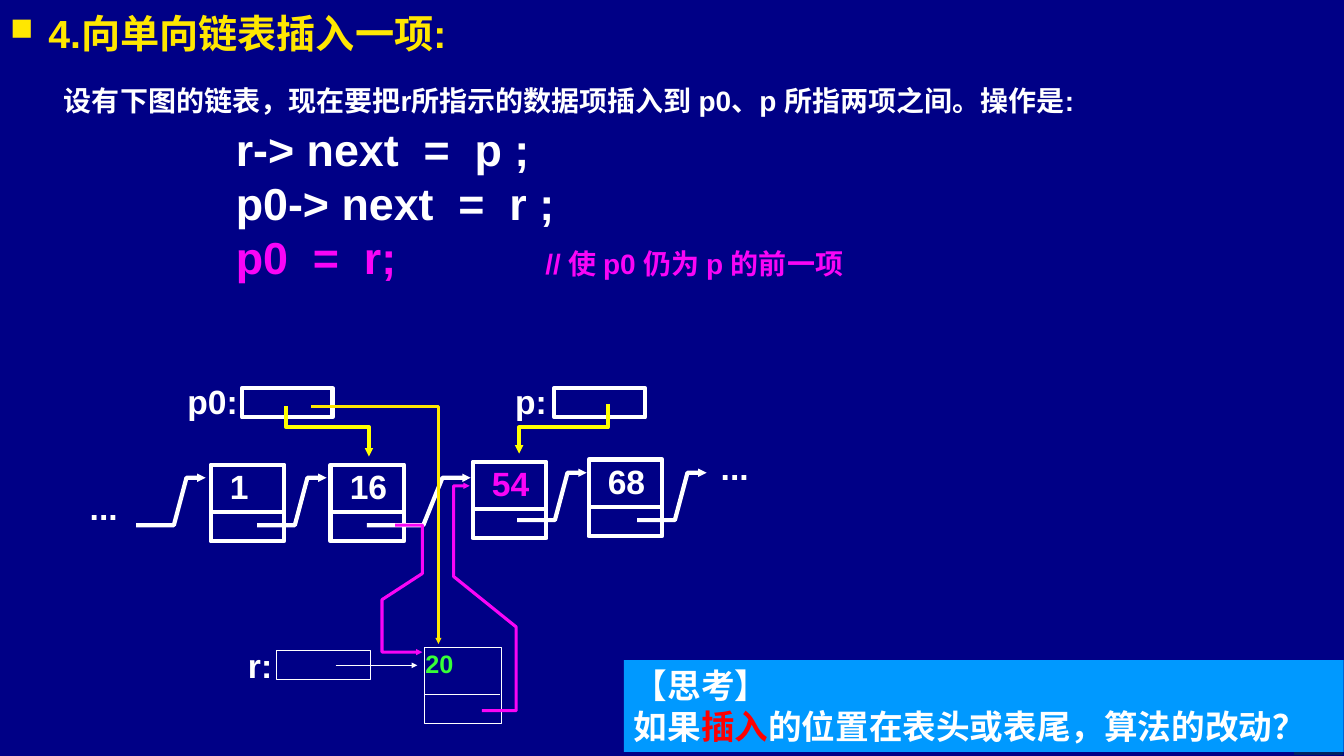
from lxml.etree import SubElement
from pptx import Presentation
from pptx.dml.color import RGBColor
from pptx.enum.shapes import MSO_CONNECTOR, MSO_SHAPE
from pptx.enum.text import MSO_ANCHOR, PP_ALIGN
from pptx.oxml.ns import qn
from pptx.util import Inches, Pt

NAVY = RGBColor(0x00, 0x00, 0x86)
BUTTON = RGBColor(0x00, 0x20, 0x60)
SKY = RGBColor(0x00, 0x99, 0xFF)
WHITE = RGBColor(0xFF, 0xFF, 0xFF)
GOLD = RGBColor(0xFF, 0xE7, 0x01)
YELLOW = RGBColor(0xFF, 0xFF, 0x00)
MAGENTA = RGBColor(0xF9, 0x05, 0xF6)
GREEN = RGBColor(0x37, 0xFF, 0x37)
RED = RGBColor(0xFF, 0x00, 0x00)

COLUMNS, ROWS = 133.33, 75
CELL = Inches(0.1)


def cells(*lengths):
    return [round(length * CELL) for length in lengths]


class ListSlide:
    font = "Arial"

    def __init__(self, deck):
        self.slide = deck.slides.add_slide(deck.slide_layouts[5])
        self.shapes = self.slide.shapes
        self.slide.background.fill.solid()
        self.slide.background.fill.fore_color.rgb = NAVY

    def fill_text(self, shape, lines, size, insets=(1, 0.5), pitch=None, tab=None):
        frame = shape.text_frame
        frame.word_wrap = True
        frame.vertical_anchor = MSO_ANCHOR.TOP
        frame.margin_left, frame.margin_top = cells(*insets)
        frame.margin_right = frame.margin_bottom = cells(0.1)[0]
        for index, runs in enumerate(lines):
            paragraph = frame.add_paragraph() if index else frame.paragraphs[0]
            paragraph.alignment = PP_ALIGN.LEFT
            if pitch:
                paragraph.line_spacing = Pt(pitch)
            if tab:
                tabs = SubElement(paragraph._p.get_or_add_pPr(), qn("a:tabLst"))
                SubElement(tabs, qn("a:tab"), pos=str(cells(tab)[0]), algn="l")
            for words, color, *own_size in runs:
                run = paragraph.add_run()
                run.text = words
                run.font.name = self.font
                run.font.size = Pt(own_size[0] if own_size else size)
                run.font.bold = True
                run.font.color.rgb = color

    def title(self, place, words, size):
        heading = self.shapes.title
        heading.left, heading.top, heading.width, heading.height = cells(*place)
        properties = heading.text_frame.paragraphs[0]._p.get_or_add_pPr()
        properties.set("marL", str(cells(3.8)[0]))
        properties.set("indent", str(cells(-3.8)[0]))
        bullet_color = SubElement(properties, qn("a:buClr"))
        SubElement(bullet_color, qn("a:srgbClr"), val=str(GOLD))
        SubElement(properties, qn("a:buSzPct"), val="80000")
        SubElement(properties, qn("a:buChar"), char="■")
        self.fill_text(heading, [[(words, GOLD)]], size)

    def text(self, place, lines, size, **layout):
        label = self.shapes.add_textbox(*cells(*place))
        self.fill_text(label, lines, size, insets=(0.1, 0.1), **layout)

    def box(self, place, line=WHITE, weight=3, fill=None, kind=MSO_SHAPE.RECTANGLE):
        box = self.shapes.add_shape(kind, *cells(*place))
        box.shadow.inherit = False
        if fill is None:
            box.fill.background()
        else:
            box.fill.solid()
            box.fill.fore_color.rgb = fill
        if line is None:
            box.line.fill.background()
        else:
            self.stroke(box, line, weight)
        return box

    def stroke(self, shape, color, weight, arrow=False):
        shape.line.color.rgb = color
        shape.line.width = Pt(weight)
        if arrow:
            outline = shape._element.spPr.find(qn("a:ln"))
            SubElement(outline, qn("a:tailEnd"), type="triangle", w="sm", len="sm")

    def line(self, start, end, weight, arrow=False):
        line = self.shapes.add_connector(MSO_CONNECTOR.STRAIGHT, *cells(*start, *end))
        self.stroke(line, WHITE, weight, arrow)
        SubElement(line._element.spPr, qn("a:effectLst"))

    def route(self, points, color, weight):
        start, *rest = [cells(*point) for point in points]
        builder = self.shapes.build_freeform(*start)
        builder.add_line_segments(rest, close=False)
        route = builder.convert_to_shape()
        route.shadow.inherit = False
        route.fill.background()
        self.stroke(route, color, weight, arrow=True)

    def node(self, left, top, value, color=WHITE, width=7.3, weight=3, size=24, indent=1.9):
        node = self.box((left, top, width, 7.6), weight=weight)
        self.fill_text(node, [[(value, color)]], size, insets=(indent, 0.1))
        self.line((left, top + 4.7), (left + width - 0.2, top + 4.7), weight)

    def link(self, x, y, bend=3.75, rise=5, reach=6.9):
        top = y - 4.7
        self.route([(x, y), (x + bend, y), (x + rise, top), (x + reach, top)], WHITE, 3)


def main():
    deck = Presentation()
    deck.slide_width, deck.slide_height = cells(COLUMNS, ROWS)
    page = ListSlide(deck)

    page.box((128.3, 70, 5, 5), NAVY, 0.75, BUTTON, MSO_SHAPE.ACTION_BUTTON_BEGINNING)
    page.title((0, 0.4, 125.2, 6), "4.向单向链表插入一项:", 28)
    page.text((6.25, 8.2, 118, 4.5), [[
        ("设有下图的链表，现在要把r所指示的数据项插入到 p0、p 所指两项之间。操作是:", WHITE)]], 20)
    page.text((23.3, 12, 100, 16.5), [
        [("r-> next  =  p ;", WHITE)],
        [("p0-> next  =  r ;", WHITE)],
        [("p0  =  r;\t", MAGENTA), ("// 使 p0 仍为 p 的前一项", MAGENTA, 20)],
    ], 32, pitch=38.5, tab=30.7)

    page.box((27.4, 64.5, 9.4, 2.9), weight=0.75)
    page.node(42.1, 64.2, "20", GREEN, width=7.7, weight=0.75, size=18, indent=0.1)
    page.line((33.3, 66), (41.4, 66), 0.75, arrow=True)
    for pointer_left in (24, 55):
        page.box((pointer_left, 38.5, 9, 2.9))

    for left, top, words in [(24.5, 63.9, "r:"), (18.5, 37.7, "p0:"), (51, 37.7, "p:"),
                             (8.8, 48.2, "..."), (71.4, 44.2, "...")]:
        page.text((left, top, 6.1, 4.2), [[(words, WHITE)]], 24)

    for left, top, value, color in [(20.9, 46.1, "1", WHITE), (32.8, 46.1, "16", WHITE),
                                    (46.9, 45.8, "54", MAGENTA), (58.4, 45.6, "68", WHITE)]:
        page.node(left, top, value, color)

    page.route([(60.3, 40.1), (60.3, 42.4), (51.5, 42.4), (51.5, 45)], YELLOW, 3)
    page.route([(28.4, 40.3), (28.4, 42.4), (36.6, 42.4), (36.6, 45.3)], YELLOW, 3)
    for x, y in [(13.5, 52.1), (25.5, 52.1), (51.3, 51.6), (63.2, 51.6)]:
        page.link(x, y)
    page.link(36.4, 52.1, bend=5.6, rise=7.5, reach=10.3)

    page.route([(39.2, 52.1), (41.9, 52.1), (41.9, 56.9), (37.9, 59.5),
                (37.9, 64.7), (41.9, 64.7)], MAGENTA, 2.25)
    page.route([(47.8, 70.5), (51.2, 70.5), (51.2, 62.2), (45, 57.2),
                (45, 48.2), (46.6, 48.2)], MAGENTA, 2.25)
    page.route([(30.9, 40.3), (43.5, 40.3), (43.5, 63.9)], GOLD, 2.25)

    question = page.box((61.9, 65.5, 71.4, 9.1), line=None, fill=SKY)
    page.fill_text(question, [
        [("【思考】", WHITE)],
        [("如果", WHITE), ("插入", RED), ("的位置在表头或表尾，算法的改动？", WHITE)],
    ], 24)

    deck.save("out.pptx")


if __name__ == "__main__":
    main()
